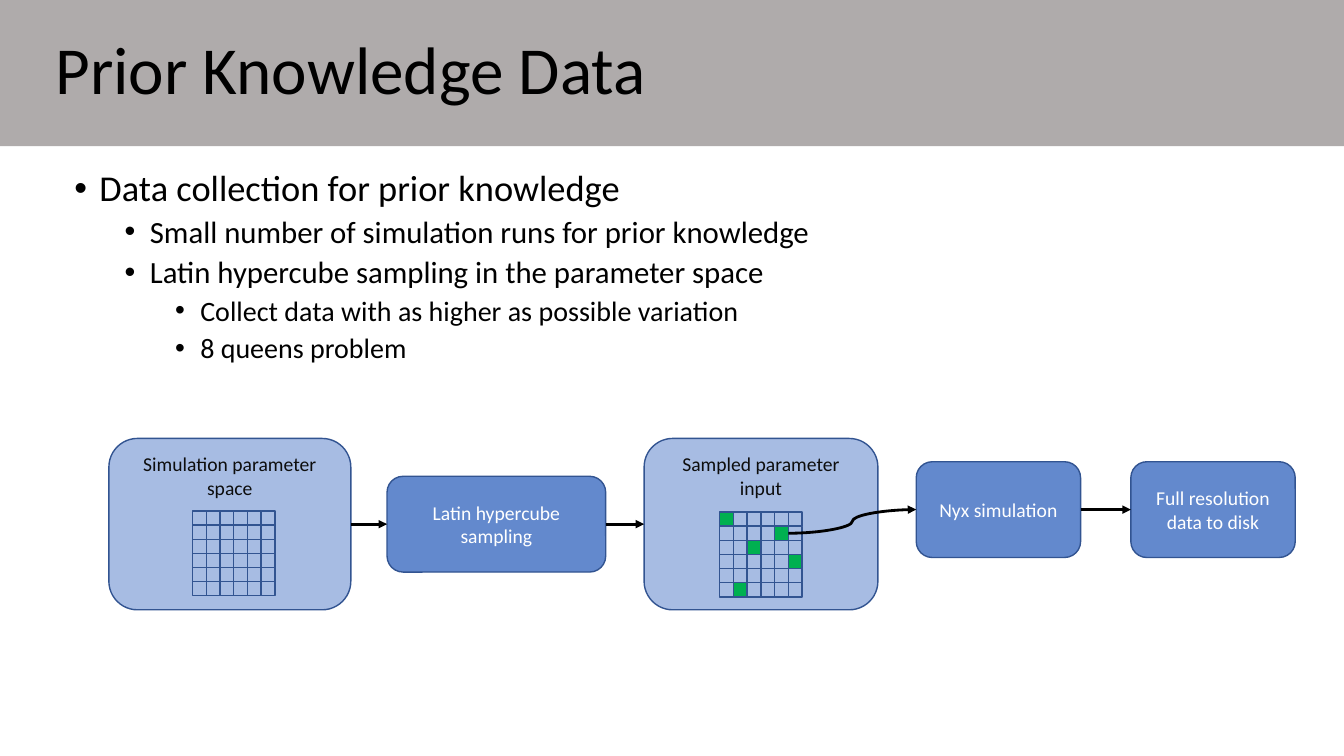
from dataclasses import dataclass

from pptx import Presentation
from pptx.dml.color import RGBColor
from pptx.enum.shapes import MSO_CONNECTOR, MSO_SHAPE
from pptx.enum.text import MSO_ANCHOR, PP_ALIGN
from pptx.oxml.ns import qn
from pptx.util import Pt


@dataclass(frozen=True)
class Theme:
    font: str = "Calibri"
    band: str = "AFABAB"
    black: str = "000000"
    label: str = "0D0D0D"
    white: str = "FFFFFF"
    blue: str = "4472C4"
    outline: str = "325491"
    green: str = "00B050"
    title_size: int = 48
    bullet_sizes: tuple = (26, 22, 20)
    label_size: int = 14


THEME = Theme()
LEFT, RIGHT = 1, 3  # connection sites

BULLETS = [
    (0, "Data collection for prior knowledge"),
    (1, "Small number of simulation runs for prior knowledge"),
    (1, "Latin hypercube sampling in the parameter space"),
    (2, "Collect data with as higher as possible variation"),
    (2, "8 queens problem"),
]
SAMPLED_CELLS = {(0, 0), (1, 4), (2, 2), (3, 5), (5, 1)}  # (row, column)
GRID_SIZE = 6
CELL_W, CELL_H = 9.8, 10.1


def apply(obj, formats):
    for name, value in formats.items():
        setattr(obj, name, value)


def add_run(p, text, size, color):
    r = p.add_run()
    r.text = text
    apply(r.font, {"name": THEME.font, "size": Pt(size)})
    r.font.color.rgb = RGBColor.from_string(color)


def add_box(shapes, kind, box, fill=None, line=None, alpha=100):
    sp = shapes.add_shape(kind, *map(Pt, box))
    sp.shadow.inherit = False
    if fill:
        sp.fill.solid()
        sp.fill.fore_color.rgb = RGBColor.from_string(fill)
        if alpha < 100:
            clr = sp.fill._xPr.find(".//" + qn("a:srgbClr"))
            clr.makeelement(qn("a:alpha"))
            alpha_el = clr.makeelement(qn("a:alpha"), {"val": str(alpha * 1000)})
            clr.append(alpha_el)
    else:
        sp.fill.background()
    if line:
        sp.line.color.rgb = RGBColor.from_string(line)
        sp.line.width = Pt(1)
    else:
        sp.line.fill.background()
    return sp


# Title band
def add_title(s, box, text):
    sp = add_box(s.shapes, MSO_SHAPE.RECTANGLE, box, THEME.band)
    tf = sp.text_frame
    apply(tf, {"word_wrap": True, "vertical_anchor": MSO_ANCHOR.MIDDLE,
               "margin_left": Pt(39.6)})
    p = tf.paragraphs[0]
    apply(p, {"alignment": PP_ALIGN.LEFT, "line_spacing": 0.9})
    add_run(p, text, THEME.title_size, THEME.black)


# Bulleted text
def add_bullets(s, box, items):
    tf = s.shapes.add_textbox(*map(Pt, box)).text_frame
    tf.word_wrap = True
    for i, (level, text) in enumerate(items):
        p = tf.add_paragraph() if i else tf.paragraphs[0]
        apply(p, {"level": level, "line_spacing": 0.9,
                  "space_before": Pt(5 if i else 0)})
        pPr = p._p.get_or_add_pPr()
        pPr.set("marL", str(Pt(18 + 36 * level)))
        pPr.set("indent", str(Pt(-18)))
        for tag, attrs in (("a:buFont", {"typeface": "Arial"}),
                           ("a:buChar", {"char": "•"})):
            pPr.append(pPr.makeelement(qn(tag), attrs))
        add_run(p, text, THEME.bullet_sizes[level], THEME.black)


# Flow parts
def add_step(s, box, text, color=THEME.white, alpha=83, anchor=MSO_ANCHOR.MIDDLE):
    sp = add_box(s.shapes, MSO_SHAPE.ROUNDED_RECTANGLE, box,
                 THEME.blue, THEME.outline, alpha)
    tf = sp.text_frame
    apply(tf, {"word_wrap": True, "vertical_anchor": anchor})
    p = tf.paragraphs[0]
    p.alignment = PP_ALIGN.CENTER
    add_run(p, text, THEME.label_size, color)
    return sp


def add_grid_panel(s, box, text, grid_dx, grid_dy, sampled=()):
    panel = add_step(s, box, text, THEME.label, 47, MSO_ANCHOR.TOP)
    panel.text_frame.margin_top = Pt(4)
    group = s.shapes.add_group_shape()
    cells = {}
    for row in range(GRID_SIZE):
        for col in range(GRID_SIZE):
            cell = (box[0] + grid_dx + col * CELL_W,
                    box[1] + grid_dy + row * CELL_H, CELL_W, CELL_H)
            fill = THEME.green if (row, col) in sampled else None
            cells[row, col] = add_box(group.shapes, MSO_SHAPE.RECTANGLE,
                                      cell, fill, THEME.outline)
    return panel, cells


def add_arrow(s, start, end, kind=MSO_CONNECTOR.STRAIGHT):
    c = s.shapes.add_connector(kind, 0, 0, 0, 0)
    c.begin_connect(start, RIGHT)
    c.end_connect(end, LEFT)
    c.line.color.rgb = RGBColor.from_string(THEME.black)
    c.line.width = Pt(2)
    ln = c.line._get_or_add_ln()
    ln.append(ln.makeelement(qn("a:tailEnd"), {"type": "triangle"}))
    spPr = c._element.spPr
    spPr.append(spPr.makeelement(qn("a:effectLst")))


def add_flow(s, box):
    x, y, w, h = box
    step_h, end_w = 68.4, 117.4
    end_y = y + 16.6
    space, _ = add_grid_panel(s, (x, y, 172.8, h),
                              "Simulation parameter space", 59.8, 51.8)
    sampling = add_step(s, (x + 198.7, y + (h - step_h) / 2, 156.2, step_h),
                        "Latin hypercube sampling")
    inputs, cells = add_grid_panel(s, (x + 382.3, y, 167, h), "Sampled parameter input",
                                   54, 52.6, SAMPLED_CELLS)
    nyx = add_step(s, (x + 576.7, end_y, end_w, step_h), "Nyx simulation")
    disk = add_step(s, (x + w - end_w, end_y, end_w, step_h),
                    "Full resolution data to disk")
    for start, end in ((space, sampling), (sampling, inputs), (nyx, disk)):
        add_arrow(s, start, end)
    add_arrow(s, cells[1, 4], nyx, MSO_CONNECTOR.CURVE)


def main():
    prs = Presentation()
    apply(prs, {"slide_width": Pt(960), "slide_height": Pt(540)})
    s = prs.slides.add_slide(prs.slide_layouts[6])
    add_title(s, (0, 0, 960, 104.4), "Prior Knowledge Data")
    add_bullets(s, (46, 118, 867, 373), BULLETS)
    add_flow(s, (77.8, 313.2, 847.4, 122.4))
    prs.save("out.pptx")


if __name__ == "__main__":
    main()
